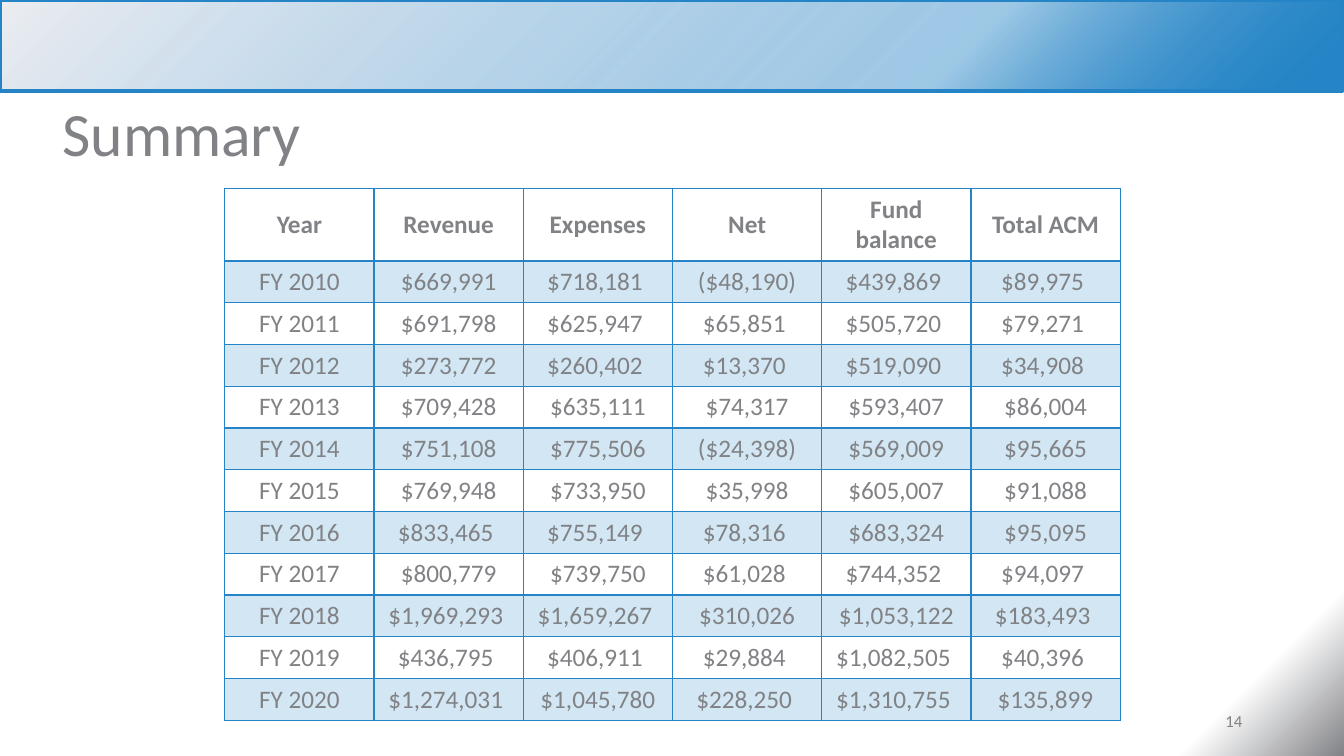
from lxml import etree
from pptx import Presentation
from pptx import util as u
from pptx.dml.color import RGBColor
from pptx.enum import shapes, text
from pptx.oxml.ns import qn

BLUE, GREY, WHITE = "2484C6", "808285", "FFFFFF"
FONT = "Calibri"

HEADINGS = ["Year", "Revenue", "Expenses", "Net", "Fund balance", "Total ACM"]
# Some amounts end in a space, which shifts them slightly left of centre
YEARS = [
    ["FY 2010", "$669,991", "$718,181 ", "($48,190)", "$439,869 ", "$89,975 "],
    ["FY 2011", "$691,798", "$625,947 ", "$65,851 ", "$505,720 ", "$79,271 "],
    ["FY 2012", "$273,772", "$260,402 ", "$13,370 ", "$519,090 ", "$34,908 "],
    ["FY 2013", "$709,428", "$635,111", "$74,317", "$593,407", "$86,004"],
    ["FY 2014", "$751,108", "$775,506", "($24,398)", "$569,009", "$95,665"],
    ["FY 2015", "$769,948", "$733,950", "$35,998", "$605,007", "$91,088"],
    ["FY 2016", "$833,465 ", "$755,149 ", "$78,316 ", "$683,324", "$95,095"],
    ["FY 2017", "$800,779", "$739,750", "$61,028 ", "$744,352 ", "$94,097 "],
    ["FY 2018", "$1,969,293 ", "$1,659,267 ", "$310,026", "$1,053,122", "$183,493 "],
    ["FY 2019", "$436,795 ", "$406,911 ", "$29,884 ", "$1,082,505 ", "$40,396 "],
    ["FY 2020", "$1,274,031 ", "$1,045,780", "$228,250 ", "$1,310,755 ", "$135,899"],
]


def rgb(color):
    return RGBColor.from_string(color)


def inches(box):
    return [u.Inches(length) for length in box]


def write(frame, words, size=18, color=GREY, bold=False,
          align=text.PP_ALIGN.LEFT, anchor=text.MSO_ANCHOR.MIDDLE):
    frame.word_wrap = True
    frame.vertical_anchor = anchor
    paragraph = frame.paragraphs[0]
    paragraph.alignment = align
    run = paragraph.add_run()
    run.text = words
    run.font.name, run.font.size, run.font.bold = FONT, u.Pt(size), bold
    run.font.color.rgb = rgb(color)


def add_color(parent, color, opacity=100):
    tint = etree.SubElement(parent, qn("a:srgbClr"), val=color)
    if opacity < 100:
        etree.SubElement(tint, qn("a:alpha"), val=str(opacity * 1000))


def make_radial(properties, stops, focus):
    """Swap the solid fill for a circular gradient spreading from a corner."""
    gradient = etree.Element(qn("a:gradFill"), rotWithShape="1")
    stop_list = etree.SubElement(gradient, qn("a:gsLst"))
    for position, color, opacity in stops:
        stop = etree.SubElement(stop_list, qn("a:gs"), pos=str(position * 1000))
        add_color(stop, color, opacity)
    circle = etree.SubElement(gradient, qn("a:path"), path="circle")
    etree.SubElement(circle, qn("a:fillToRect"), {side: "100000" for side in focus})
    properties.replace(properties.find(qn("a:solidFill")), gradient)


def add_background(slide):
    slide.background.fill.solid()
    properties = slide.element.find(".//" + qn("p:bgPr"))
    make_radial(properties, [(0, WHITE, 100), (92, WHITE, 100), (100, "818285", 100)], "rb")


def add_banner(slide, box):
    # Two translucent layers deepen the blue
    for _ in range(2):
        banner = slide.shapes.add_shape(shapes.MSO_SHAPE.RECTANGLE, *inches(box))
        banner.shadow.inherit = False
        banner.line.color.rgb, banner.line.width = rgb(BLUE), u.Pt(3)
        banner.fill.solid()
        make_radial(banner.element.spPr,
                    [(0, BLUE, 100), (29, BLUE, 25), (100, "E1E3EA", 39)], "lt")


def add_title(slide, box, words):
    title = slide.shapes.title
    title.left, title.top, title.width, title.height = inches(box)
    write(title.text_frame, words, size=44, anchor=text.MSO_ANCHOR.TOP)


def add_page_number(slide, box, number):
    page = slide.shapes.add_textbox(*inches(box))
    write(page.text_frame, number, size=12, align=text.PP_ALIGN.RIGHT)


def set_borders(cell, widths):
    properties = cell._tc.get_or_add_tcPr()
    for side, width in widths.items():
        border = etree.SubElement(properties, qn("a:ln" + side), w=str(u.Pt(width)))
        add_color(etree.SubElement(border, qn("a:solidFill")), BLUE)


def add_summary_table(slide, box, header_height=0.72):
    records = [HEADINGS] + YEARS
    frame = slide.shapes.add_table(len(records), len(HEADINGS), *inches(box))
    table = frame.table
    table.horz_banding = False
    for column in table.columns:
        column.width = u.Inches(box[2] / len(HEADINGS))
    for r, record in enumerate(records):
        header = r == 0
        table.rows[r].height = u.Inches(
            header_height if header else (box[3] - header_height) / len(YEARS))
        for c, words in enumerate(record):
            cell = table.cell(r, c)
            write(cell.text_frame, words, bold=header, align=text.PP_ALIGN.CENTER)
            cell.vertical_anchor = text.MSO_ANCHOR.MIDDLE
            # A heavier rule separates the headings from the years
            set_borders(cell, {"L": 1, "R": 1, "T": 2 if r == 1 else 1,
                               "B": 2 if header else 1})
            if r % 2:
                cell.fill.solid()
                solid = cell._tc.tcPr.find(qn("a:solidFill"))
                add_color(solid, BLUE, 20)
            else:
                cell.fill.background()


def main():
    deck = Presentation()
    deck.slide_width, deck.slide_height = u.Inches(13.33), u.Inches(7.5)
    slide = deck.slides.add_slide(deck.slide_layouts[5])
    add_background(slide)
    add_banner(slide, (0, 0, 13.31, 0.9))
    add_title(slide, (0.52, 0.89, 9.4, 1.44), "Summary")
    add_page_number(slide, (9.42, 6.95, 3, 0.4), "14")
    add_summary_table(slide, (2.23, 1.87, 8.88, 5.28))
    deck.save("out.pptx")


if __name__ == "__main__":
    main()
